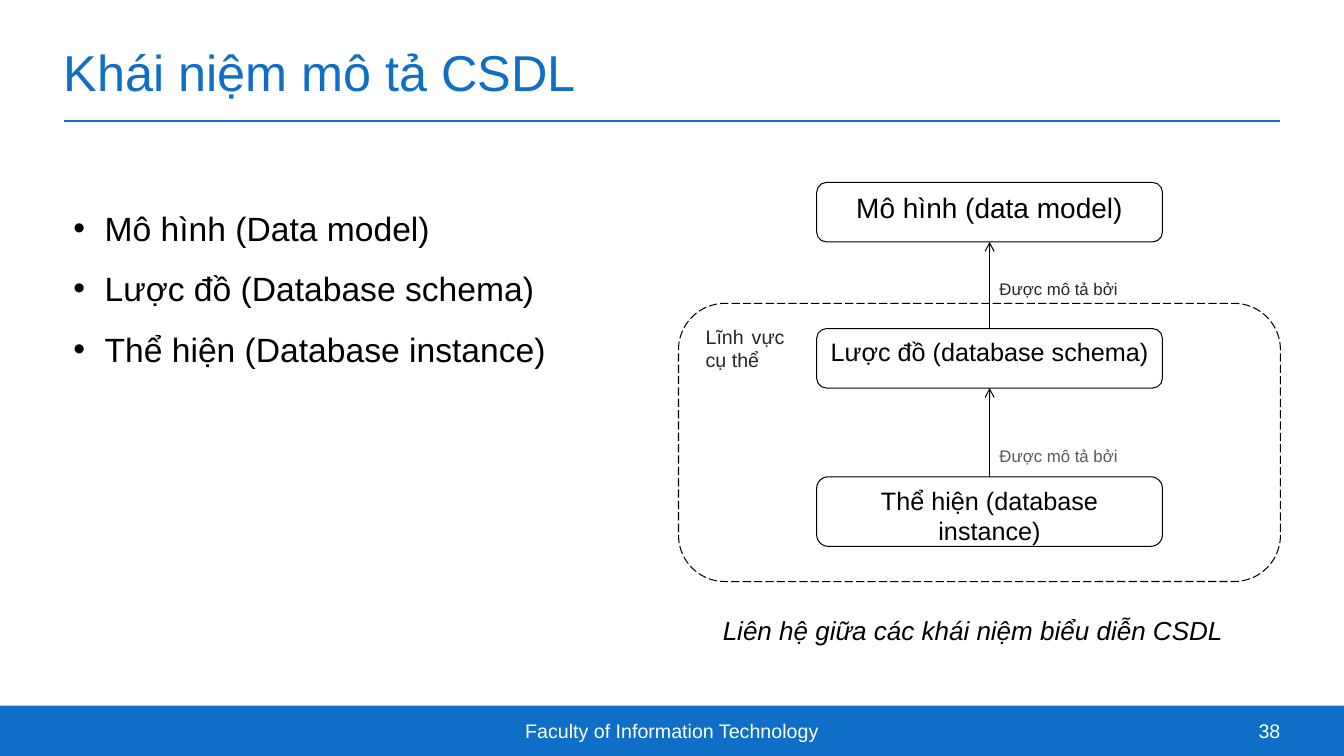
from lxml import etree
from pptx import Presentation
from pptx.dml.color import RGBColor
from pptx.enum.dml import MSO_LINE
from pptx.enum.shapes import MSO_CONNECTOR, MSO_SHAPE
from pptx.enum.text import MSO_ANCHOR, MSO_AUTO_SIZE, PP_ALIGN
from pptx.oxml.ns import qn
from pptx.util import Inches, Pt

BLUE = RGBColor(0x0F, 0x6F, 0xC6)
WHITE = RGBColor(0xFF, 0xFF, 0xFF)
BLACK = RGBColor(0x00, 0x00, 0x00)
DARK_GRAY = RGBColor(0x26, 0x26, 0x26)
MID_GRAY = RGBColor(0x59, 0x59, 0x59)
FONT = "Arial"
WIDTH, HEIGHT = 13.33, 7.5
MARGIN, RIGHT = 0.63, 12.7


def add_run(paragraph, text, size, color=BLACK, italic=False):
    run = paragraph.add_run()
    run.text = text
    run.font.name = FONT
    run.font.size = Pt(size)
    run.font.color.rgb = color
    run.font.italic = italic


def set_frame(frame, inset=True, anchor=MSO_ANCHOR.TOP):
    frame.word_wrap = True
    frame.auto_size = MSO_AUTO_SIZE.NONE
    frame.vertical_anchor = anchor
    if not inset:
        frame.margin_left = frame.margin_right = 0
        frame.margin_top = frame.margin_bottom = 0


def add_text(slide, box, text, size, color=BLACK, align=PP_ALIGN.LEFT,
             italic=False, **frame_options):
    frame = slide.shapes.add_textbox(*map(Inches, box)).text_frame
    set_frame(frame, **frame_options)
    paragraph = frame.paragraphs[0]
    paragraph.alignment = align
    add_run(paragraph, text, size, color, italic)
    return paragraph


def add_line(slide, start, end, color, width, arrow=False):
    line = slide.shapes.add_connector(
        MSO_CONNECTOR.STRAIGHT, *map(Inches, (*start, *end)))
    line.line.color.rgb = color
    line.line.width = Pt(width)
    if arrow:
        etree.SubElement(line.line._get_or_add_ln(), qn("a:tailEnd"), type="arrow")
    etree.SubElement(line._element.spPr, qn("a:effectLst"))


def add_rounded_box(slide, box):
    shape = slide.shapes.add_shape(MSO_SHAPE.ROUNDED_RECTANGLE, *map(Inches, box))
    shape.shadow.inherit = False
    shape.fill.background()
    shape.line.color.rgb = BLACK
    shape.line.width = Pt(0.75)
    return shape


def add_header(slide, left, top, width, height):
    title = slide.shapes.title
    title.left, title.top, title.width, title.height = map(
        Inches, (left, top, width, height))
    set_frame(title.text_frame, inset=False, anchor=MSO_ANCHOR.MIDDLE)
    paragraph = title.text_frame.paragraphs[0]
    paragraph.alignment = PP_ALIGN.LEFT
    add_run(paragraph, "Khái niệm mô tả CSDL", 36, BLUE)
    rule_y = top + height + 0.01
    add_line(slide, (left, rule_y), (left + width, rule_y), BLUE, 1)


def add_footer(slide, top, height):
    band = slide.shapes.add_shape(
        MSO_SHAPE.RECTANGLE, *map(Inches, (0, top, WIDTH, height)))
    band.shadow.inherit = False
    band.fill.solid()
    band.fill.fore_color.rgb = BLUE
    band.line.fill.background()
    for left, width, text, align in (
            (4.44, 4.45, "Faculty of Information Technology", PP_ALIGN.CENTER),
            (12, RIGHT - 12, "38", PP_ALIGN.RIGHT)):
        add_text(slide, (left, top, width, height), text, 14, WHITE, align,
                 inset=False, anchor=MSO_ANCHOR.MIDDLE)


def add_concept_list(slide, left, top, width, height):
    frame = slide.shapes.add_textbox(
        *map(Inches, (left, top, width, height))).text_frame
    set_frame(frame)
    concepts = ("Mô hình (Data model)", "Lược đồ (Database schema)",
                "Thể hiện (Database instance)")
    for index, concept in enumerate(concepts):
        paragraph = frame.add_paragraph() if index else frame.paragraphs[0]
        properties = paragraph._p.get_or_add_pPr()
        properties.set("marL", str(Inches(0.31)))
        properties.set("indent", str(-Inches(0.31)))
        etree.SubElement(properties, qn("a:buFont"), typeface=FONT)
        etree.SubElement(properties, qn("a:buChar"), char="•")
        paragraph.line_spacing = 1.5
        add_run(paragraph, concept, 24)


def add_diagram(slide, left, top, width):
    """Stack the three levels, with arrows upwards and a dashed domain frame."""
    add_rounded_box(slide, (left, top + 1.2, width, 2.76)).line.dash_style = (
        MSO_LINE.LONG_DASH)
    add_text(slide, (left + 0.17, top + 1.36, 0.98, 0.57), "Lĩnh vực cụ thể",
             14, DARK_GRAY, PP_ALIGN.JUSTIFY)

    level_left, level_width = left + 1.37, 3.43
    center = level_left + level_width / 2
    levels = (("Mô hình (data model)", 20, 0, 0.59),
              ("Lược đồ (database schema)", 18, 1.45, 0.59),
              ("Thể hiện (database instance)", 18, 2.92, 0.69))
    for text, size, offset, height in levels:
        level = add_rounded_box(
            slide, (level_left, top + offset, level_width, height))
        set_frame(level.text_frame)
        paragraph = level.text_frame.paragraphs[0]
        paragraph.alignment = PP_ALIGN.CENTER
        add_run(paragraph, text, size)

    label_styles = ((0.91, DARK_GRAY), (2.56, MID_GRAY))
    for upper, lower, (label_offset, color) in zip(levels, levels[1:], label_styles):
        add_line(slide, (center, top + lower[2]),
                 (center, top + upper[2] + upper[3]), BLACK, 0.75, arrow=True)
        add_text(slide, (center, top + label_offset, 1.43, 0.3),
                 "Được mô tả bởi", 12, color)

    caption = add_text(slide, (left + 0.34, top + 4.3, 5.29, 0.62),
                       "Liên hệ giữa các khái niệm biểu diễn CSDL", 18.6, italic=True)
    caption.line_spacing = 0.8


def main():
    presentation = Presentation()
    presentation.slide_width = Inches(WIDTH)
    presentation.slide_height = Inches(HEIGHT)
    slide = presentation.slides.add_slide(presentation.slide_layouts[5])
    add_footer(slide, 7, 0.5)
    add_header(slide, MARGIN, 0.23, RIGHT - MARGIN, 0.96)
    add_concept_list(slide, MARGIN, 1.81, 5.68, 1.84)
    add_diagram(slide, 6.73, 1.81, RIGHT - 6.73)
    presentation.save("out.pptx")


if __name__ == "__main__":
    main()
